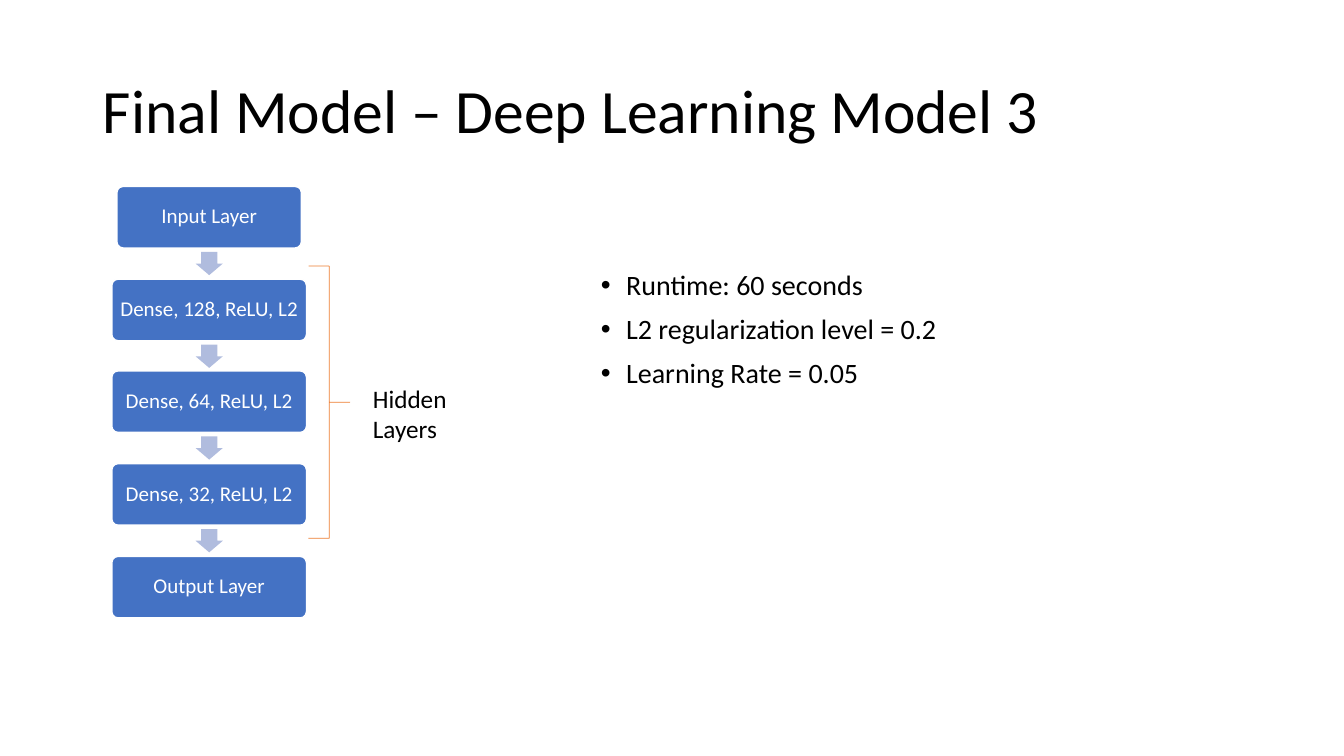
from pptx import Presentation
from pptx import util as u
from pptx.dml.color import RGBColor
from pptx.enum import shapes, text
from lxml import etree

COLORS = {"box": "4472C4", "arrow": "B0BCDE", "brace": "ED7D31",
          "light": "FFFFFF", "dark": "000000"}
EMU_PER_PX = 9144  # 100 px to the inch
LAYERS = ["Input Layer", "Dense, 128, ReLU, L2", "Dense, 64, ReLU, L2",
          "Dense, 32, ReLU, L2", "Output Layer"]
RESULTS = ["Runtime: 60 seconds", "L2 regularization level = 0.2",
           "Learning Rate = 0.05"]


def px(*lengths):
    return [u.Emu(length * EMU_PER_PX) for length in lengths]


def rgb(name):
    return RGBColor.from_string(COLORS[name])


def assign(target, **values):
    for name, value in values.items():
        setattr(target, name, value)


class ModelSlide:
    font = "Calibri"

    def __init__(self, deck):
        self.slide = deck.slides.add_slide(deck.slide_layouts[1])

    def set_text(self, holder, lines, size, color="dark", align=text.PP_ALIGN.LEFT,
                 spacing=0.9, gap=0, bullet=None, **frame_format):
        """Fill a text frame with one paragraph per line."""
        frame = holder.text_frame
        frame.text = "\n".join(lines)
        assign(frame, **{"word_wrap": True, "auto_size": text.MSO_AUTO_SIZE.NONE,
                         **frame_format})
        for number, paragraph in enumerate(frame.paragraphs):
            assign(paragraph, alignment=align, line_spacing=spacing,
                   space_before=u.Pt(gap if number else 0))
            if bullet:
                properties = paragraph._p.get_or_add_pPr()
                indent = px(25)[0]
                properties.set("marL", str(indent))
                properties.set("indent", str(-indent))
                namespace = properties.nsmap["a"]
                etree.SubElement(properties, f"{{{namespace}}}buChar", char=bullet)
            for run in paragraph.runs:
                assign(run.font, name=self.font, size=u.Pt(size))
                run.font.color.rgb = rgb(color)

    def placeholder(self, index, box, lines, size, **text_format):
        holder = self.slide.placeholders[index]
        assign(holder, **dict(zip(("left", "top", "width", "height"), px(*box))))
        self.set_text(holder, lines, size, **text_format)

    def shape(self, kind, box, adjustments, fill=None, line=None, line_width=1):
        item = self.slide.shapes.add_shape(kind, *px(*box))
        item.shadow.inherit = False
        for index, value in enumerate(adjustments):
            item.adjustments[index] = value
        if fill:
            item.fill.solid()
            item.fill.fore_color.rgb = rgb(fill)
        else:
            item.fill.background()
        if line:
            item.line.color.rgb = rgb(line)
            item.line.width = u.Pt(line_width)
        else:
            item.line.fill.background()
        return item

    def layer(self, box, name):
        item = self.shape(shapes.MSO_SHAPE.ROUNDED_RECTANGLE, box, [0.1],
                          fill="box", line="light")
        inset = px(4)[0]
        self.set_text(item, [name], 15, color="light", align=text.PP_ALIGN.CENTER,
                      vertical_anchor=text.MSO_ANCHOR.MIDDLE,
                      margin_left=inset, margin_right=inset)

    def arrow(self, box):
        self.shape(shapes.MSO_SHAPE.DOWN_ARROW, box, [0.6, 0.5], fill="arrow")

    def brace(self, box):
        self.shape(shapes.MSO_SHAPE.RIGHT_BRACE, box, [0, 0.5],
                   line="brace", line_width=0.5)

    def label(self, box, lines, size):
        item = self.slide.shapes.add_textbox(*px(*box))
        self.set_text(item, lines, size, spacing=1.0, word_wrap=False,
                      auto_size=text.MSO_AUTO_SIZE.SHAPE_TO_FIT_TEXT)


def main():
    deck = Presentation()
    deck.slide_width, deck.slide_height = px(1333, 750)
    page = ModelSlide(deck)
    page.placeholder(0, (92, 40, 1150, 145), ["Final Model – Deep Learning Model 3"],
                     44, vertical_anchor=text.MSO_ANCHOR.MIDDLE)
    page.placeholder(1, (586, 264, 483, 213), RESULTS, 20, gap=10, bullet="•")

    center, first_top, pitch, height = 207, 185, 91.75, 61
    for number, name in enumerate(LAYERS):
        top = round(first_top + number * pitch)
        width = 193 if number else 183
        page.layer((center - width // 2, top, width, height), name)
        if number < len(LAYERS) - 1:
            page.arrow((center - 13, top + height + 4, 27, 23))

    page.brace((306, 264, 41, 270))
    page.label((360, 375, 94, 71), ["Hidden", "Layers"], 18)
    deck.save("out.pptx")


if __name__ == "__main__":
    main()
